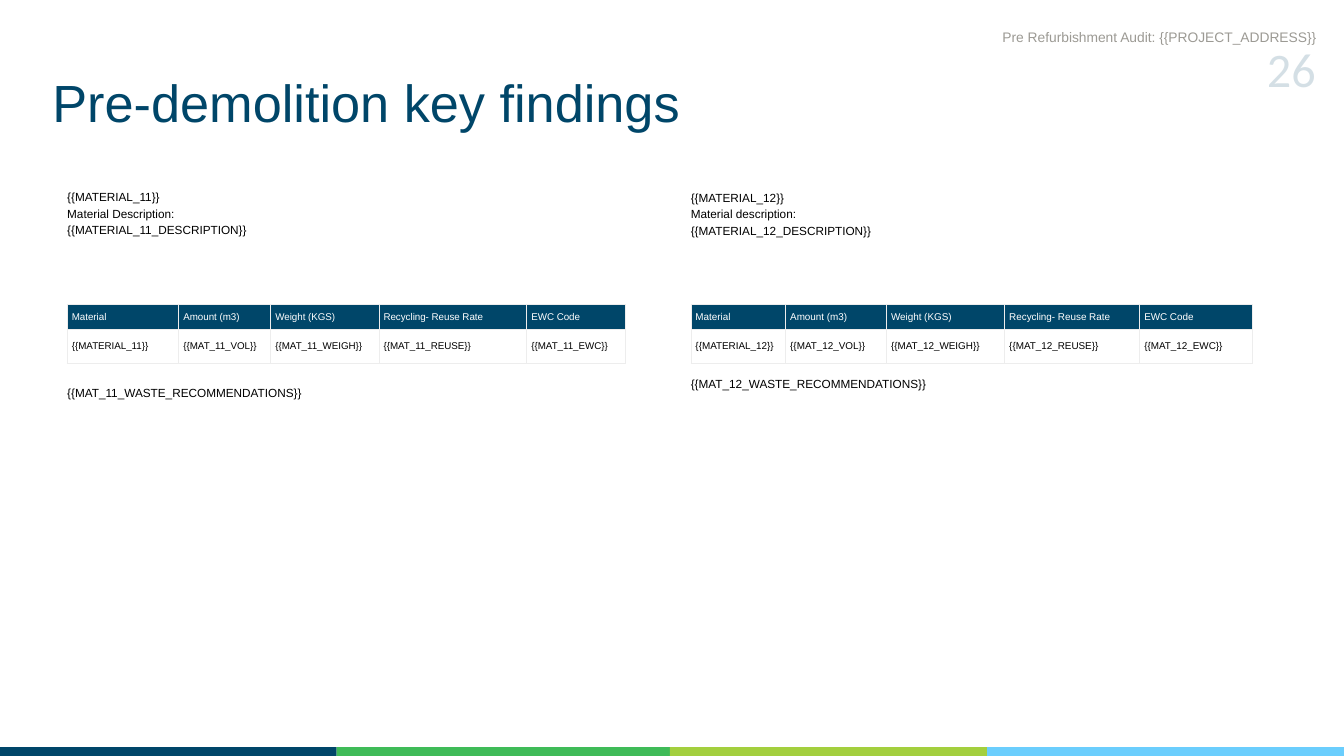
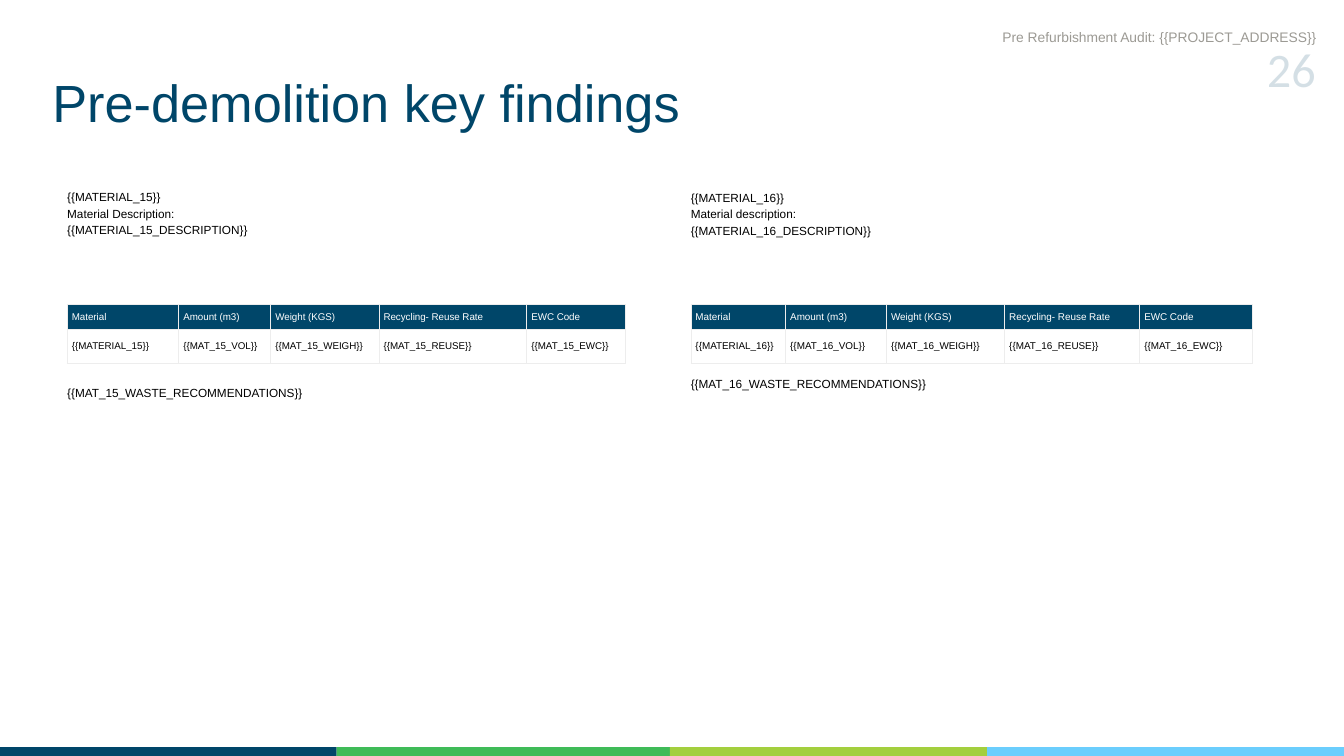
"""Build the two pre-demolition key findings slides."""
from lxml import etree
from pptx import Presentation
from pptx.dml.color import RGBColor
from pptx.enum import shapes, text
from pptx.oxml import ns
from pptx.util import Pt

NAVY = RGBColor(0x00, 0x46, 0x69)
GREEN = RGBColor(0x3F, 0xBB, 0x58)
LIME = RGBColor(0xA3, 0xCF, 0x3E)
SKY = RGBColor(0x6B, 0xCE, 0xFD)
GREY = RGBColor(0x9C, 0x9A, 0x94)
RULE = RGBColor(0xED, 0xED, 0xED)
BLACK = RGBColor(0, 0, 0)
WHITE = RGBColor(255, 255, 255)

TITLE = "Pre-demolition key findings"
RUNNING_HEAD = "Pre Refurbishment Audit: {{PROJECT_ADDRESS}}"
PAGE_NUMBER = "26"
SLIDE_MATERIALS = [(11, 12), (15, 16)]
HEADINGS = ["Material", "Amount (m3)", "Weight (KGS)", "Recycling- Reuse Rate", "EWC Code"]
FIELDS = ["MATERIAL_{}", "MAT_{}_VOL", "MAT_{}_WEIGH", "MAT_{}_REUSE", "MAT_{}_EWC"]

COLUMNS = [
    dict(left=72, text_top=201.2, advice_top=411.12, label="Material Description:",
         leading=17.6, cell_size=10.5, cell_leading=11.3,
         widths=[119.5, 98.6, 115.9, 158.4, 105.8]),
    dict(left=740.16, text_top=201.6, advice_top=401.04, label="Material description:",
         leading=17.7, cell_size=10.6, cell_leading=11.4,
         widths=[101.5, 108, 126.7, 144.7, 120.2]),
]
BANDS = [(NAVY, 360.72), (GREEN, 357.12), (LIME, 339.84), (SKY, 394.56)]
BAND_TOP, BAND_HEIGHT = 800.64, 18.72
TABLE_TOP, ROW_HEIGHTS = 326.16, [26.64, 36.72]
CELL_INSET, BORDER = 5.04, 0.66
BODY_SIZE = 12.6


def placeholder(pattern, number):
    return "{{" + pattern.format(number) + "}}"


def write(frame, lines, size, color, leading, font="Arial", align=text.PP_ALIGN.LEFT, inset=0):
    frame.word_wrap = True
    frame.margin_left = frame.margin_right = Pt(inset)
    frame.margin_top = frame.margin_bottom = Pt(inset)
    for index, line in enumerate(lines):
        para = frame.add_paragraph() if index else frame.paragraphs[0]
        para.alignment = align
        para.line_spacing = Pt(leading)
        para.space_before = para.space_after = Pt(0)
        span = para.add_run()
        span.text = line
        span.font.name, span.font.size = font, Pt(size)
        span.font.color.rgb = color


def add_text(page, place, lines, size, color, leading, **style):
    box = page.shapes.add_textbox(*map(Pt, place))
    write(box.text_frame, lines, size, color, leading, **style)
    box.text_frame.auto_size = text.MSO_AUTO_SIZE.SHAPE_TO_FIT_TEXT
    return box


def set_borders(cell):
    properties = cell._tc.get_or_add_tcPr()
    for index, side in enumerate(("lnL", "lnR", "lnT", "lnB")):
        line = etree.Element(ns.qn("a:" + side), w=str(Pt(BORDER)))
        fill = etree.SubElement(line, ns.qn("a:solidFill"))
        etree.SubElement(fill, ns.qn("a:srgbClr"), val=str(RULE))
        properties.insert(index, line)


def add_table(page, column, number):
    rows = [HEADINGS, [placeholder(field, number) for field in FIELDS]]
    widths = column["widths"]
    table = page.shapes.add_table(
        len(rows), len(widths), Pt(column["left"]), Pt(TABLE_TOP),
        Pt(sum(widths)), Pt(sum(ROW_HEIGHTS))).table
    table.first_row = table.horz_banding = False
    for index, width in enumerate(widths):
        table.columns[index].width = Pt(width)
    for row, labels in enumerate(rows):
        table.rows[row].height = Pt(ROW_HEIGHTS[row])
        for index, label in enumerate(labels):
            cell = table.cell(row, index)
            write(cell.text_frame, [label], column["cell_size"], BLACK if row else WHITE,
                  column["cell_leading"])
            cell.margin_left = cell.margin_right = Pt(CELL_INSET)
            cell.margin_top = cell.margin_bottom = Pt(CELL_INSET)
            cell.vertical_anchor = text.MSO_ANCHOR.MIDDLE
            if row:
                cell.fill.background()
            else:
                cell.fill.solid()
                cell.fill.fore_color.rgb = NAVY
            set_borders(cell)


def add_material(page, column, number):
    left, width, leading = column["left"], sum(column["widths"]), column["leading"]
    description = [placeholder("MATERIAL_{}", number), column["label"],
                   placeholder("MATERIAL_{}_DESCRIPTION", number)]
    add_text(page, (left, column["text_top"], width, 86), description,
             BODY_SIZE, BLACK, leading)
    add_table(page, column, number)
    add_text(page, (left, column["advice_top"], width, 35.28),
             [placeholder("MAT_{}_WASTE_RECOMMENDATIONS", number)],
             BODY_SIZE, BLACK, leading)


def add_title(page):
    title = page.shapes.title
    title.left, title.top, title.width, title.height = map(Pt, (56.16, 64.08, 900, 84.24))
    write(title.text_frame, [TITLE], 56, NAVY, 78.4)
    title.text_frame.vertical_anchor = text.MSO_ANCHOR.TOP
    title.text_frame.auto_size = text.MSO_AUTO_SIZE.NONE


def add_bands(page):
    group = page.shapes.add_group_shape()
    left = 0
    for color, width in BANDS:
        band = group.shapes.add_shape(shapes.MSO_SHAPE.RECTANGLE, Pt(left), Pt(BAND_TOP),
                                      Pt(width), Pt(BAND_HEIGHT))
        band.shadow.inherit = False
        band.fill.solid()
        band.fill.fore_color.rgb = color
        band.line.fill.background()
        left += width


def add_page_header(page):
    right = text.PP_ALIGN.RIGHT
    number = add_text(page, (1325.52, 31.68, 84.24, 79.92), [PAGE_NUMBER], 51.6, NAVY, 72.3,
                      font="Calibri", align=right)
    tint = number.text_frame.paragraphs[0].runs[0]._r.xpath(".//a:srgbClr")[0]
    etree.SubElement(tint, ns.qn("a:alpha"), val="17000")
    add_text(page, (878.4, 28.08, 532, 21.6), [RUNNING_HEAD], 14.8, GREY, 20.6, align=right)


def main():
    deck = Presentation()
    deck.slide_width, deck.slide_height = Pt(1440), Pt(810)
    for numbers in SLIDE_MATERIALS:
        page = deck.slides.add_slide(deck.slide_layouts[5])
        for column, number in zip(COLUMNS, numbers):
            add_material(page, column, number)
        add_title(page)
        add_bands(page)
        add_page_header(page)
    deck.save("out.pptx")


if __name__ == "__main__":
    main()
